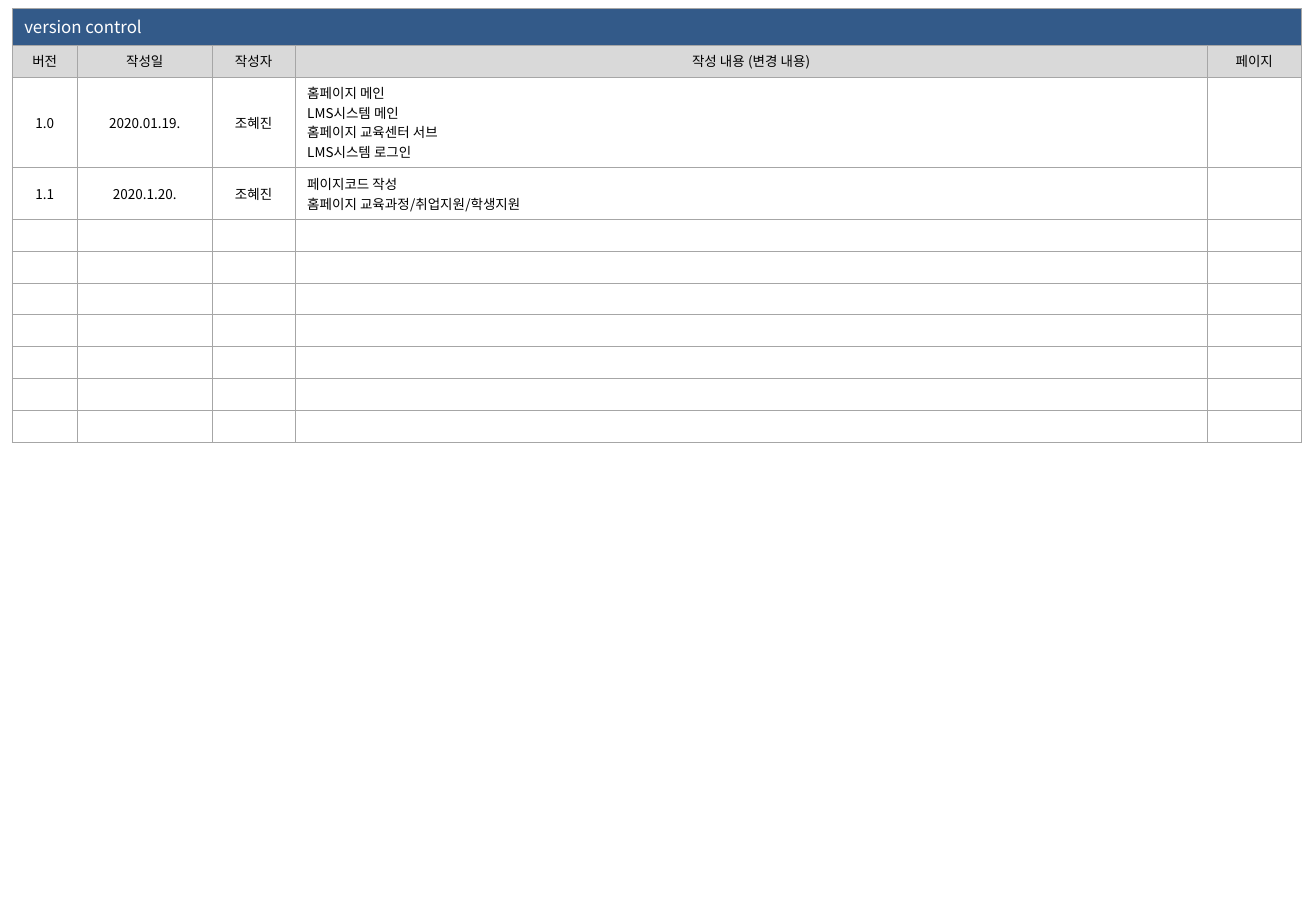
from dataclasses import dataclass
from lxml.etree import SubElement
from pptx import Presentation
from pptx.dml.color import RGBColor as RGB
from pptx.enum.text import MSO_ANCHOR as Anchor, PP_ALIGN as Align
from pptx.oxml.ns import qn
from pptx.util import Pt


@dataclass(frozen=True)
class Theme:
    font: str = "Noto Sans CJK KR"
    title_size: float = 10
    body_size: float = 8
    title_fill: str = "335A89"
    header_fill: str = "D9D9D9"
    body_fill: str = "FFFFFF"
    title_text: str = "FFFFFF"
    body_text: str = "000000"
    border: str = "A6A6A6"
    border_width: float = 0.25


THEME = Theme()
COLUMN_WIDTHS = [38.7, 79.9, 49.1, 540.6, 56]
TITLE_HEIGHT, ROW_HEIGHT, LINE_HEIGHT = 21.6, 18.8, 11.6
HEADERS = ["버전", "작성일", "작성자", "작성 내용 (변경 내용)", "페이지"]
VERSIONS = [
    ["1.0", "2020.01.19.", "조혜진",
     "홈페이지 메인\nLMS시스템 메인\n홈페이지 교육센터 서브\nLMS시스템 로그인", ""],
    ["1.1", "2020.1.20.", "조혜진",
     "페이지코드 작성\n홈페이지 교육과정/취업지원/학생지원", ""],
]
BLANK_ROWS = 7
CONTENT_COLUMN = 3


def set_borders(cell):
    tc_pr = cell._tc.get_or_add_tcPr()
    for i, side in enumerate(("lnL", "lnR", "lnT", "lnB")):
        ln = tc_pr.makeelement(qn(f"a:{side}"), {"w": str(Pt(THEME.border_width))})
        fill = SubElement(ln, qn("a:solidFill"))
        SubElement(fill, qn("a:srgbClr"), val=THEME.border)
        tc_pr.insert(i, ln)


def add_run(p, text, size, color):
    r = p.add_run()
    r.text = text
    r.font.size = Pt(size)
    r.font.name = THEME.font
    r.font.color.rgb = RGB.from_string(color)
    SubElement(r.font._element, qn("a:ea"), typeface=THEME.font)


def set_blank_size(p, size):
    end = SubElement(p._p, qn("a:endParaRPr"), sz=str(int(size * 100)))
    for tag in ("a:latin", "a:ea"):
        SubElement(end, qn(tag), typeface=THEME.font)


def fill_cell(cell, text, fill, align=Align.CENTER, size=THEME.body_size,
              color=THEME.body_text):
    cell.fill.solid()
    cell.fill.fore_color.rgb = RGB.from_string(fill)
    cell.vertical_anchor = Anchor.MIDDLE
    cell.margin_left = cell.margin_right = Pt(7.2)
    cell.margin_top = cell.margin_bottom = Pt(3.6)
    set_borders(cell)
    tf = cell.text_frame
    for i, line in enumerate(text.split("\n")):
        p = tf.add_paragraph() if i else tf.paragraphs[0]
        p.alignment = align
        if line:
            add_run(p, line, size, color)
        else:
            set_blank_size(p, size)


def add_version_table(s, left, top):
    rows = [HEADERS] + VERSIONS + [[""] * len(HEADERS)] * BLANK_ROWS
    table = s.shapes.add_table(len(rows) + 1, len(HEADERS), Pt(left), Pt(top),
                               Pt(sum(COLUMN_WIDTHS)), Pt(TITLE_HEIGHT)).table
    table.first_row = table.horz_banding = False
    for column, width in zip(table.columns, COLUMN_WIDTHS):
        column.width = Pt(width)

    table.rows[0].height = Pt(TITLE_HEIGHT)
    table.cell(0, 0).merge(table.cell(0, len(HEADERS) - 1))
    for c in range(len(HEADERS)):
        fill_cell(table.cell(0, c), "" if c else "version control", THEME.title_fill,
                  Align.LEFT, THEME.title_size, THEME.title_text)

    for r, values in enumerate(rows, 1):
        extra_lines = max(text.count("\n") for text in values)
        table.rows[r].height = Pt(ROW_HEIGHT + extra_lines * LINE_HEIGHT)
        is_header = r == 1
        fill = THEME.header_fill if is_header else THEME.body_fill
        for c, text in enumerate(values):
            is_content = c == CONTENT_COLUMN and not is_header
            fill_cell(table.cell(r, c), text, fill,
                      Align.LEFT if is_content else Align.CENTER)


def main():
    prs = Presentation()
    prs.slide_width, prs.slide_height = Pt(780), Pt(540)
    s = prs.slides.add_slide(prs.slide_layouts[6])
    add_version_table(s, 7.2, 5)
    prs.save("out.pptx")


main()
